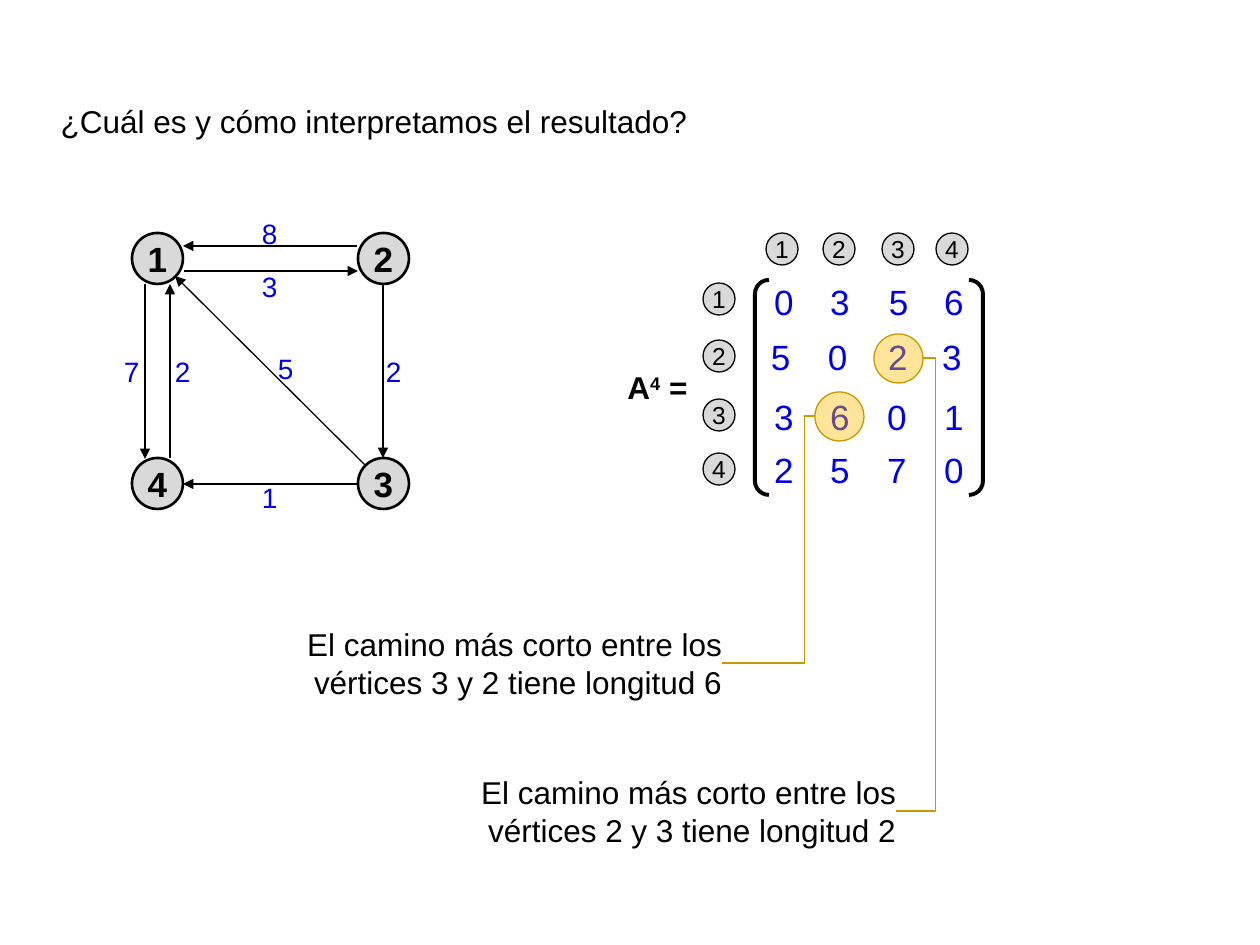
import dataclasses
import typing

import lxml.etree
import pptx
import pptx.dml.color
import pptx.enum.shapes
import pptx.enum.text
import pptx.oxml.ns
import pptx.util

SCALE = 914400 / 126
FONT, BLACK, BLUE, GREY, GOLD, AMBER = "Arial", "000000", "0000E6", "D9D9D9", "C89800", "FFC000"
KIND = pptx.enum.shapes.MSO_SHAPE
LINK = pptx.enum.shapes.MSO_CONNECTOR
ALIGN = pptx.enum.text.PP_ALIGN
ANCHOR = pptx.enum.text.MSO_ANCHOR
FIT = pptx.enum.text.MSO_AUTO_SIZE
TIGHT = dict(margin_left=0, margin_top=0, margin_right=0, margin_bottom=0)
LABEL = dict(TIGHT, vertical_anchor=ANCHOR.MIDDLE, word_wrap=False)
Box = tuple[int, int, int, int]


@dataclasses.dataclass(frozen=True)
class Edge:
    """An arrow with its ends, its weight and the place of the weight."""
    ends: Box
    text: str
    x: int
    y: int


@dataclasses.dataclass(frozen=True)
class Note:
    """A ringed cell, its comment and the bend of the link between them."""
    ring: Box
    text: str
    box: Box
    link: Box
    bend: float


EDGES = [
    Edge((358, 484, 183, 484), "1", 262, 480), Edge((365, 465, 175, 276), "5", 278, 351),
    Edge((383, 284, 383, 458), "2", 386, 354), Edge((357, 246, 183, 246), "8", 262, 216),
    Edge((184, 271, 358, 271), "3", 262, 269), Edge((145, 284, 145, 459), "7", 124, 354),
    Edge((170, 458, 170, 284), "2", 175, 354),
]
NODES = [("1", 132, 233), ("2", 358, 233), ("3", 358, 458), ("4", 132, 458)]
CELLS = ["0356", "5023", "3601", "2570"]
COLS, ROWS = [774, 830, 887, 944], [280, 335, 395, 448]
NUDGE = {(0, 2): 2, (1, 0): -3, (1, 1): -2, (1, 2): 1, (1, 3): -2}
TOPS, SIDES = [766, 823, 882, 936], [283, 340, 399, 453]
NOTES = [
    Note((815, 392, 49, 49), "El camino más corto entre los vértices 3 y 2 tiene longitud 6",
         (261, 625, 461, 77), (815, 416, 722, 663), 0.11),
    Note((874, 334, 49, 49), "El camino más corto entre los vértices 2 y 3 tiene longitud 2",
         (451, 773, 445, 77), (923, 358, 896, 811), -0.48),
]


def emu(*sizes: int) -> list[int]:
    """Turn pixels into EMU."""
    return [round(size * SCALE) for size in sizes]


def hue(code: str) -> pptx.dml.color.RGBColor:
    """Turn a hex string into a colour."""
    return pptx.dml.color.RGBColor.from_string(code)


def apply(item: typing.Any, values: dict[str, typing.Any]) -> None:
    """Set each format value on an item."""
    for name, value in values.items():
        setattr(item, name, value)


def tag(shape: typing.Any, where: str, kind: str, **values: str) -> None:
    """Append an element inside the first named part of a shape's format."""
    root = shape._element.spPr
    part = root.find(".//" + pptx.oxml.ns.qn(where)) if where else root
    lxml.etree.SubElement(part, pptx.oxml.ns.qn(kind), values)


def write(shape: typing.Any, text: str, size: int, tone: str, values: dict[str, typing.Any],
          align: typing.Any = ALIGN.LEFT, bold: bool = False) -> typing.Any:
    """Write text into a shape, one run for each part between bars."""
    apply(shape.text_frame, values)
    para = shape.text_frame.paragraphs[0]
    para.alignment = align
    for part in text.split("|"):
        run = para.add_run()
        run.text = part
        apply(run.font, dict(name=FONT, size=pptx.util.Pt(size), bold=bold))
        run.font.color.rgb = hue(tone)
    return para


def label(slide: typing.Any, box: Box, text: str, size: int, tone: str = BLUE,
          values: dict[str, typing.Any] = LABEL, **more: typing.Any) -> typing.Any:
    """Add a text box."""
    return write(slide.shapes.add_textbox(*emu(*box)), text, size, tone, values, **more)


def stroke(line: typing.Any, tone: str, width: float) -> None:
    """Give a line its colour and width."""
    line.color.rgb = hue(tone)
    line.width = pptx.util.Pt(width)


def draw(slide: typing.Any, kind: typing.Any, box: Box, fill: str, tone: str,
         width: float) -> typing.Any:
    """Add a preset shape, unfilled when the fill is empty."""
    shape = slide.shapes.add_shape(kind, *emu(*box))
    shape.shadow.inherit = False
    shape.fill.background()
    if fill:
        shape.fill.solid()
        shape.fill.fore_color.rgb = hue(fill)
    stroke(shape.line, tone, width)
    return shape


def disc(slide: typing.Any, text: str, x: int, y: int, side: int, size: int,
         width: float, bold: bool = False) -> None:
    """Add a numbered vertex."""
    shape = draw(slide, KIND.OVAL, (x, y, side, side), GREY, BLACK, width)
    write(shape, text, size, BLACK, LABEL, ALIGN.CENTER, bold)


def join(slide: typing.Any, kind: typing.Any, ends: Box, tone: str) -> typing.Any:
    """Add a thin connector without a shadow."""
    link = slide.shapes.add_connector(kind, *emu(*ends))
    stroke(link.line, tone, 0.75)
    tag(link, "", "a:effectLst")
    return link


def graph(slide: typing.Any) -> None:
    """Draw the weighted graph."""
    for text, x, y in NODES:
        disc(slide, text, x, y, 51, 20, 1.5, True)
    for edge in EDGES:
        tag(join(slide, LINK.STRAIGHT, edge.ends, BLACK), "a:ln", "a:tailEnd", type="triangle")
        label(slide, (edge.x, edge.y, 15, 34), edge.text, 16)


def matrix(slide: typing.Any) -> None:
    """Draw the matrix with its row and column heads."""
    for row, (y, digits) in enumerate(zip(ROWS, CELLS)):
        for col, (x, digit) in enumerate(zip(COLS, digits)):
            label(slide, (x + NUDGE.get((row, col), 0), y, 20, 43), digit, 20)
    pair = draw(slide, KIND.DOUBLE_BRACKET, (755, 280, 228, 215), "", BLACK, 2.25)
    pair.adjustments[0] = 0.065
    para = label(slide, (615, 362, 87, 50), "A|4| =", 18, BLACK, dict(word_wrap=False), bold=True)
    para.runs[1].font._element.set("baseline", "30000")
    for index, (x, y) in enumerate(zip(TOPS, SIDES), 1):
        disc(slide, str(index), x, 233, 32, 14, 0.75)
        disc(slide, str(index), 703, y, 32, 14, 0.75)


def remark(slide: typing.Any, note: Note) -> None:
    """Ring a cell and link it to its comment."""
    ring = draw(slide, KIND.OVAL, note.ring, AMBER, GOLD, 0.75)
    tag(ring, "a:srgbClr", "a:alpha", val="40000")
    label(slide, note.box, note.text, 18, BLACK, dict(TIGHT, word_wrap=True), align=ALIGN.RIGHT)
    link = join(slide, LINK.ELBOW, note.link, GOLD)
    tag(link, "a:avLst", "a:gd", name="adj1", fmla=f"val {round(note.bend * 100000)}")


def main() -> None:
    """Build and save the slide."""
    deck = pptx.Presentation()
    apply(deck, dict(slide_width=pptx.util.Inches(10), slide_height=pptx.util.Inches(7.5)))
    slide = deck.slides.add_slide(deck.slide_layouts[5])
    title = slide.shapes.title
    apply(title, dict(zip(("left", "top", "width", "height"), emu(48, 77, 1058, 63))))
    para = write(title, "¿Cuál es y cómo interpretamos el resultado?", 18, BLACK,
                 dict(vertical_anchor=ANCHOR.TOP, word_wrap=True, auto_size=FIT.NONE))
    para.line_spacing = 1.5
    graph(slide)
    matrix(slide)
    for note in NOTES:
        remark(slide, note)
    deck.save("out.pptx")


main()
